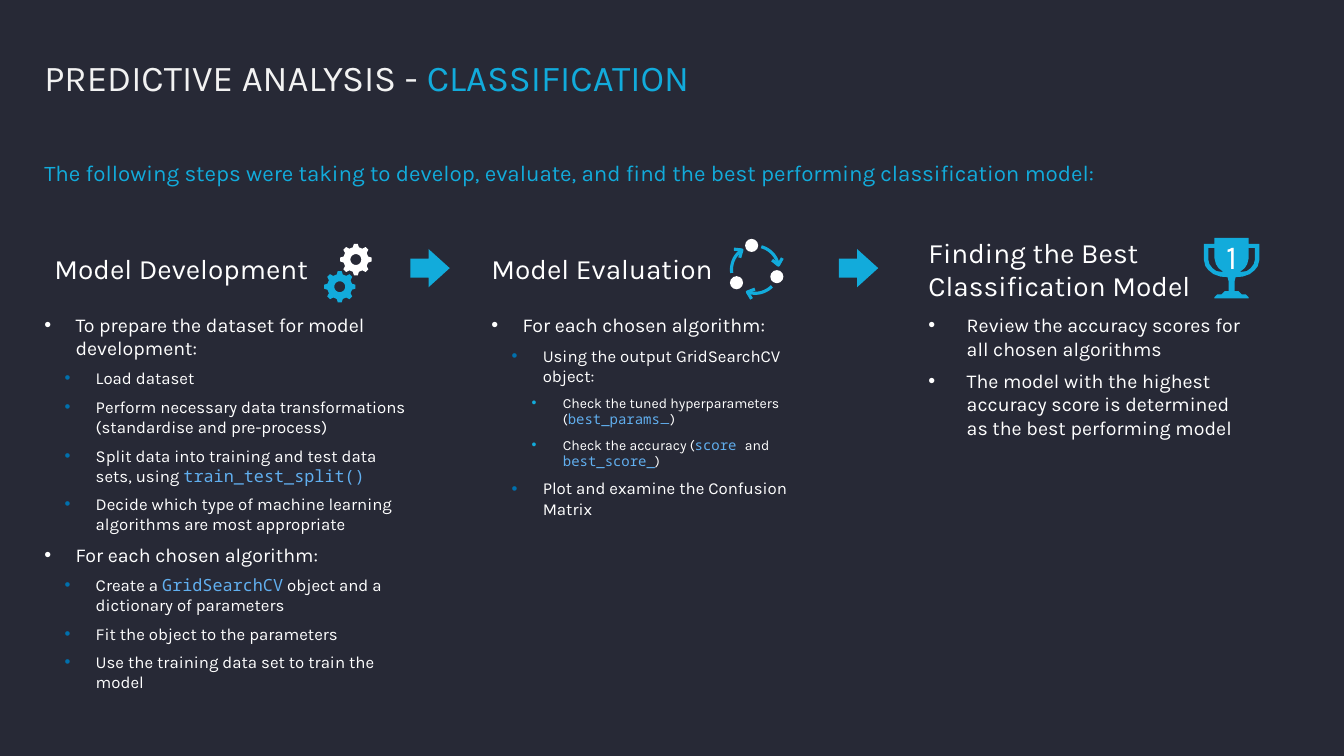
import math

import lxml.etree
import pptx
import pptx.dml.color
import pptx.enum.shapes
import pptx.enum.text
import pptx.oxml.ns
import pptx.util

Inches = pptx.util.Inches
TOP = pptx.enum.text.MSO_ANCHOR.TOP
MIDDLE = pptx.enum.text.MSO_ANCHOR.MIDDLE
BOTTOM = pptx.enum.text.MSO_ANCHOR.BOTTOM
SANS, MONO = "Karla", "Noto Sans Mono"
WHITE, CYAN, CODE_BLUE = "FFFFFF", "12ABDB", "61AFEF"
LEVEL_SIZES = [14, 12, 10]
BULLET_COLORS = [WHITE, "0070AD", CYAN]
MARGIN, COLUMN_PITCH = 0.44, 4.335
HEADING_TOP, HEADING_HEIGHT = 2.27, 0.79
BODY_BOTTOM = 6.82


def color(value):
    return pptx.dml.color.RGBColor.from_string(value)


def write(frame, paragraphs, size=None, base=WHITE, inset=(0.1, 0.05), anchor=TOP, indent=0.31):
    frame.word_wrap = True
    frame.vertical_anchor = anchor
    frame.margin_left = frame.margin_right = Inches(inset[0])
    frame.margin_top = frame.margin_bottom = Inches(inset[1])
    for index, (level, runs) in enumerate(paragraphs):
        paragraph = frame.paragraphs[0] if index == 0 else frame.add_paragraph()
        paragraph.space_after = pptx.util.Pt(6)
        if level is not None:
            paragraph.level = level
            properties = paragraph._p.get_or_add_pPr()
            properties.set("marL", str(Inches(indent + 0.2 * level)))
            properties.set("indent", str(-Inches(indent)))
            bullet_color = lxml.etree.SubElement(properties, pptx.oxml.ns.qn("a:buClr"))
            lxml.etree.SubElement(bullet_color, pptx.oxml.ns.qn("a:srgbClr"), val=BULLET_COLORS[level])
            lxml.etree.SubElement(properties, pptx.oxml.ns.qn("a:buFont"), typeface="Arial")
            lxml.etree.SubElement(properties, pptx.oxml.ns.qn("a:buChar"), char="•")
        paragraph.font.size = pptx.util.Pt(size or LEVEL_SIZES[level])
        paragraph.font.name = SANS
        paragraph.font.color.rgb = color(base)
        for text, font_name, font_color in runs:
            run = paragraph.add_run()
            run.text = text
            if font_name != SANS:
                run.font.name = font_name
            if font_color != base:
                run.font.color.rgb = color(font_color)


presentation = pptx.Presentation()
presentation.slide_width = Inches(13.33)
presentation.slide_height = Inches(7.5)
slide = presentation.slides.add_slide(presentation.slide_layouts[6])
slide.background.fill.solid()
slide.background.fill.fore_color.rgb = color("272936")

intro = slide.shapes.add_textbox(Inches(MARGIN), Inches(1.58), Inches(12.47), Inches(0.76))
write(intro.text_frame, [(None, [(
    "The following steps were taking to develop, evaluate, and find the best performing classification model:",
    SANS, CYAN)])], 16, CYAN, (0, 0))

title = slide.shapes.add_textbox(Inches(MARGIN), Inches(0.21), Inches(11.97), Inches(0.78))
write(title.text_frame, [(None, [("PREDICTIVE ANALYSIS - ", SANS, "F2F2F2"), ("CLASSIFICATION", SANS, CYAN)])],
      26, "F2F2F2", (0, 0), BOTTOM)
title.text_frame.paragraphs[0].line_spacing = 0.9
title.text_frame.paragraphs[0].space_after = pptx.util.Pt(0)

development = [
    (0, ["To prepare the dataset for model development:"]),
    (1, ["Load dataset"]),
    (1, ["Perform necessary data transformations (standardise and pre-process)"]),
    (1, ["Split data into training and test data sets, using ", ("train_test_split()", MONO, CODE_BLUE)]),
    (1, ["Decide which type of machine learning algorithms are most appropriate"]),
    (0, ["For each chosen algorithm:"]),
    (1, ["Create a ", ("GridSearchCV", MONO, CODE_BLUE), " object and a dictionary of parameters"]),
    (1, ["Fit the object to the parameters"]),
    (1, ["Use the training data set to train the model"]),
]
evaluation = [
    (0, ["For each chosen algorithm:"]),
    (1, ["Using the output GridSearchCV object:"]),
    (2, ["Check the tuned hyperparameters (", ("best_params", MONO, CODE_BLUE), ("_", SANS, CODE_BLUE), ")"]),
    (2, ["Check the accuracy (", ("score ", MONO, CODE_BLUE), "and ", ("best_score_", MONO, CODE_BLUE), ")"]),
    (1, ["Plot and examine the Confusion Matrix"]),
]
selection = [
    (0, ["Review the accuracy scores for all chosen algorithms"]),
    (0, ["The model with the highest accuracy score is determined as the best performing model"]),
]
columns = [
    ("Model Development", 3.78, development, 3.1, 3.63, (0, 0), 0.31),
    ("Model Evaluation", 2.79, evaluation, 3.06, 3.54, (0.1, 0.05), 0.31),
    ("Finding the Best Classification Model", 3.78, selection, 3.06, 3.38, (0.1, 0.05), 0.38),
]
for index, (heading, heading_width, steps, body_top, body_width, inset, indent) in enumerate(columns):
    left = Inches(MARGIN + index * COLUMN_PITCH)
    heading_box = slide.shapes.add_textbox(left, Inches(HEADING_TOP), Inches(heading_width), Inches(HEADING_HEIGHT))
    write(heading_box.text_frame, [(None, [(heading, SANS, WHITE)])], 20, anchor=MIDDLE)
    body = slide.shapes.add_textbox(left, Inches(body_top), Inches(body_width), Inches(BODY_BOTTOM - body_top))
    paragraphs = [(level, [(run, SANS, WHITE) if isinstance(run, str) else run for run in runs])
                  for level, runs in steps]
    write(body.text_frame, paragraphs, inset=inset, indent=indent)

for arrow_left in (4.07, 8.32):
    arrow = slide.shapes.add_shape(pptx.enum.shapes.MSO_SHAPE.RIGHT_ARROW,
                                   Inches(arrow_left), Inches(2.47), Inches(0.39), Inches(0.38))
    arrow.adjustments[0], arrow.adjustments[1] = 0.5, 0.553
    arrow.shadow.inherit = False
    arrow.fill.solid()
    arrow.fill.fore_color.rgb = color(CYAN)
    arrow.line.fill.background()

outlines = []
for center_x, center_y, gear_color in ((3.53, 2.575, WHITE), (3.37, 2.845, CYAN)):
    teeth = [(45 * tooth + offset, radius) for tooth in range(8)
             for offset, radius in ((-14, 0.125), (-7, 0.157), (7, 0.157), (14, 0.125))]
    hole = [(angle, 0.054) for angle in range(0, 360, 15)]
    outlines.append(([[(center_x + radius * math.cos(math.radians(angle)),
                        center_y + radius * math.sin(math.radians(angle))) for angle, radius in ring]
                      for ring in (teeth, hole)], gear_color, True))

for start in (-75, 45, 172):
    angles = [math.radians(start + step) for step in range(0, 65, 4)]
    arc = [(7.49 + 0.235 * math.cos(angle), 2.675 + 0.235 * math.sin(angle)) for angle in angles]
    tip_x, tip_y = arc[-1]
    barbs = [(tip_x + 0.08 * math.cos(angles[-1] + math.radians(turn)),
              tip_y + 0.08 * math.sin(angles[-1] + math.radians(turn))) for turn in (-50, -130)]
    outlines.append(([arc, [barbs[0], arc[-1], barbs[1]]], CYAN, False))

cup_half = [(0, 2.36), (0.17, 2.36), (0.17, 2.42), (0.275, 2.42), (0.275, 2.58), (0.26, 2.64), (0.23, 2.68),
            (0.18, 2.72), (0.11, 2.745), (0.04, 2.75), (0.03, 2.79), (0.03, 2.89), (0.07, 2.89),
            (0.1, 2.92), (0.14, 2.92), (0.17, 2.95), (0.17, 2.96)]
handle = [(0.17, 2.46), (0.23, 2.46), (0.23, 2.58), (0.22, 2.62), (0.19, 2.66), (0.15, 2.69), (0.08, 2.7),
          (0.13, 2.66), (0.155, 2.62), (0.17, 2.56)]
cup = cup_half + [(-x, y) for x, y in reversed(cup_half)]
trophy_rings = [cup, handle, [(-x, y) for x, y in handle]]
outlines.append(([[(12.215 + x, y) for x, y in ring] for ring in trophy_rings], CYAN, True))

for rings, outline_color, closed in outlines:
    points = [[(Inches(x), Inches(y)) for x, y in ring] for ring in rings]
    builder = slide.shapes.build_freeform(*points[0][0])
    builder.add_line_segments(points[0][1:], close=closed)
    for ring in points[1:]:
        builder.move_to(*ring[0])
        builder.add_line_segments(ring[1:], close=closed)
    shape = builder.convert_to_shape()
    shape.shadow.inherit = False
    if closed:
        shape.fill.solid()
        shape.fill.fore_color.rgb = color(outline_color)
        shape.line.fill.background()
    else:
        shape.fill.background()
        shape.line.color.rgb = color(outline_color)
        shape.line.width = pptx.util.Pt(2.25)

write(shape.text_frame, [(None, [("1", SANS, WHITE)])], 24, inset=(0, 0), anchor=MIDDLE)
shape.text_frame.margin_bottom = Inches(0.24)
shape.text_frame.paragraphs[0].alignment = pptx.enum.text.PP_ALIGN.CENTER
shape.text_frame.paragraphs[0].space_after = pptx.util.Pt(0)

for dot_left, dot_top in ((7.24, 2.74), (7.64, 2.68), (7.39, 2.37)):
    dot = slide.shapes.add_shape(pptx.enum.shapes.MSO_SHAPE.OVAL,
                                 Inches(dot_left), Inches(dot_top), Inches(0.13), Inches(0.13))
    dot.shadow.inherit = False
    dot.fill.solid()
    dot.fill.fore_color.rgb = color(WHITE)
    dot.line.fill.background()

presentation.save("out.pptx")
